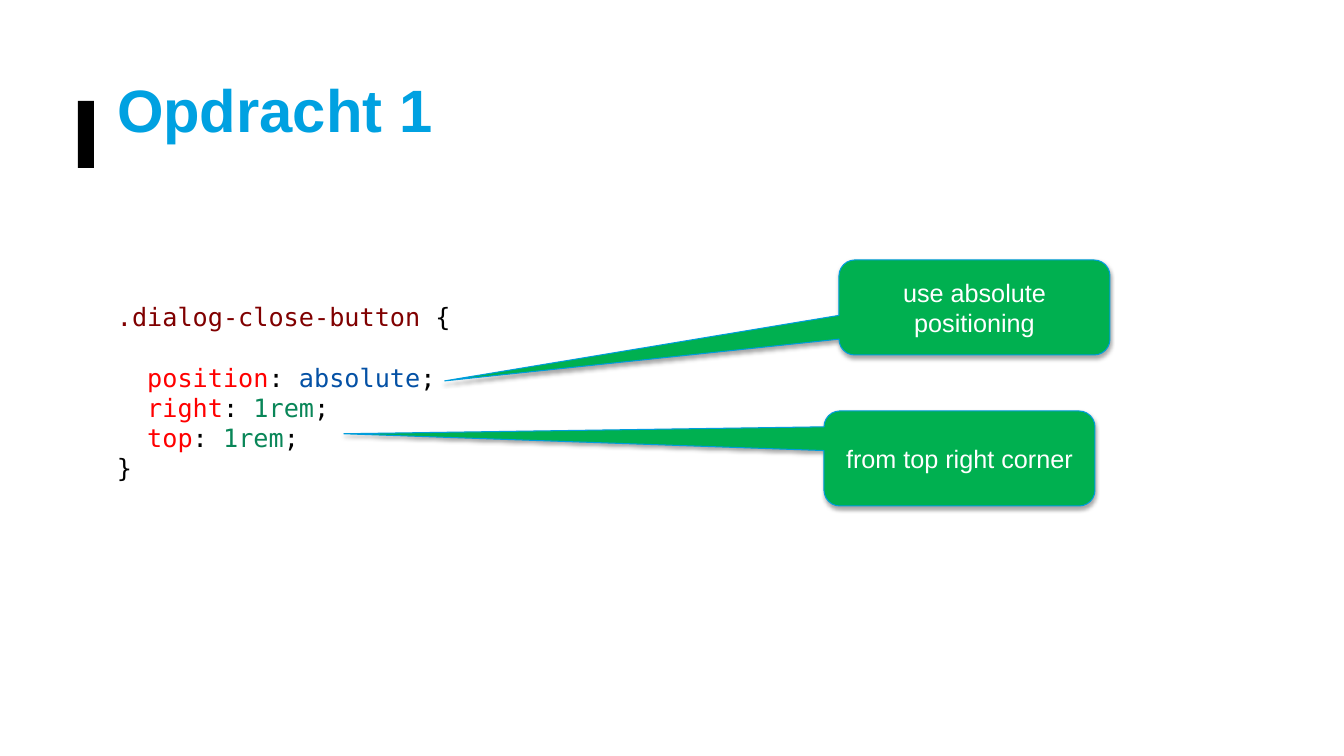
from lxml.etree import SubElement
from pptx import Presentation
from pptx.dml.color import RGBColor
from pptx.enum.shapes import MSO_SHAPE as Shape
from pptx.enum.text import MSO_ANCHOR as Anchor, MSO_AUTO_SIZE as AutoSize, PP_ALIGN as Align
from pptx.oxml.ns import qn
from pptx.util import Emu, Pt

BLACK = RGBColor(0x00, 0x00, 0x00)
WHITE = RGBColor(0xFF, 0xFF, 0xFF)
TITLE_BLUE = RGBColor(0x00, 0xA1, 0xE1)
EDGE_BLUE = RGBColor(0x00, 0x9D, 0xDC)
GREEN = RGBColor(0x00, 0xB0, 0x50)
SELECTOR = RGBColor(0x80, 0x00, 0x00)
PROPERTY = RGBColor(0xFF, 0x00, 0x00)
KEYWORD = RGBColor(0x04, 0x51, 0xA5)
NUMBER = RGBColor(0x09, 0x86, 0x58)

TITLE = "Opdracht 1"
SELECTOR_LINE = [(".dialog-close-button", SELECTOR), (" {", BLACK)]
DECLARATIONS = [
    ("position", "absolute", KEYWORD),
    ("right", "1rem", NUMBER),
    ("top", "1rem", NUMBER),
]
# text, left, top, pointer offset and corner radius as shares of the size
CALLOUTS = [
    ("use absolute positioning", 839, 260, (-1.955, 0.773, 0.167)),
    ("from top right corner", 824, 411, (-2.272, -0.26, 0.167)),
]
CALLOUT_SIZE = (271, 95)


def px(length):
    return Emu(round(length * 914400 / 100.8))


def box(*lengths):
    return [px(length) for length in lengths]


def style(paragraph, face, size, color=None, bold=False):
    font = paragraph.font
    font.name, font.size, font.bold = face, Pt(size), bold
    if color is not None:
        font.color.rgb = color


def add_soft_shadow(shape):
    shape.shadow.inherit = False
    effects = shape._element.spPr.find(qn("a:effectLst"))
    shadow = SubElement(effects, qn("a:outerShdw"), blurRad=str(Pt(3.1)),
                        dist=str(Pt(1.8)), dir="5400000", rotWithShape="0")
    black = SubElement(shadow, qn("a:srgbClr"), val=str(BLACK))
    SubElement(black, qn("a:alpha"), val="35000")


def add_accent_bar(slide):
    bar = slide.shapes.add_shape(Shape.RECTANGLE, *box(78, 101, 16, 67))
    bar.shadow.inherit = False
    bar.fill.solid()
    bar.fill.fore_color.rgb = BLACK
    bar.line.fill.background()


def fill_title(slide):
    title = slide.shapes.title
    title.left, title.top, title.width, title.height = box(107, 36, 1094, 146)
    frame = title.text_frame
    frame.text = TITLE
    frame.auto_size = AutoSize.NONE
    frame.vertical_anchor = Anchor.MIDDLE
    heading = frame.paragraphs[0]
    heading.alignment = Align.LEFT
    style(heading, "Arial", 42.7, TITLE_BLUE, bold=True)


def add_code(slide):
    declarations = [
        [("  " + name, PROPERTY), (": ", BLACK), (value, color), (";", BLACK)]
        for name, value, color in DECLARATIONS
    ]
    lines = [SELECTOR_LINE, *declarations, [("}", BLACK)]]
    frame = slide.shapes.add_textbox(*box(107, 296, 901, 194)).text_frame
    frame.word_wrap = True
    for index, tokens in enumerate(lines):
        line = frame.add_paragraph() if index else frame.paragraphs[0]
        if index == 1:
            line.space_before = Pt(22)
        style(line, "DejaVu Sans Mono", 18)
        for text, color in tokens:
            token = line.add_run()
            token.text = text
            token.font.color.rgb = color


def add_callout(slide, text, left, top, adjustments):
    callout = slide.shapes.add_shape(
        Shape.ROUNDED_RECTANGULAR_CALLOUT, *box(left, top, *CALLOUT_SIZE))
    for index, value in enumerate(adjustments):
        callout.adjustments[index] = value
    callout.fill.solid()
    callout.fill.fore_color.rgb = GREEN
    callout.line.color.rgb = EDGE_BLUE
    callout.line.width = Pt(0.75)
    add_soft_shadow(callout)
    frame = callout.text_frame
    frame.text = text
    frame.word_wrap = True
    frame.vertical_anchor = Anchor.MIDDLE
    label = frame.paragraphs[0]
    label.alignment = Align.CENTER
    style(label, "Arial", 18, WHITE)


def main():
    deck = Presentation()
    deck.slide_width, deck.slide_height = box(1344, 756)
    slide = deck.slides.add_slide(deck.slide_layouts[5])
    add_accent_bar(slide)
    fill_title(slide)
    add_code(slide)
    for callout in CALLOUTS:
        add_callout(slide, *callout)
    deck.save("out.pptx")


if __name__ == "__main__":
    main()
